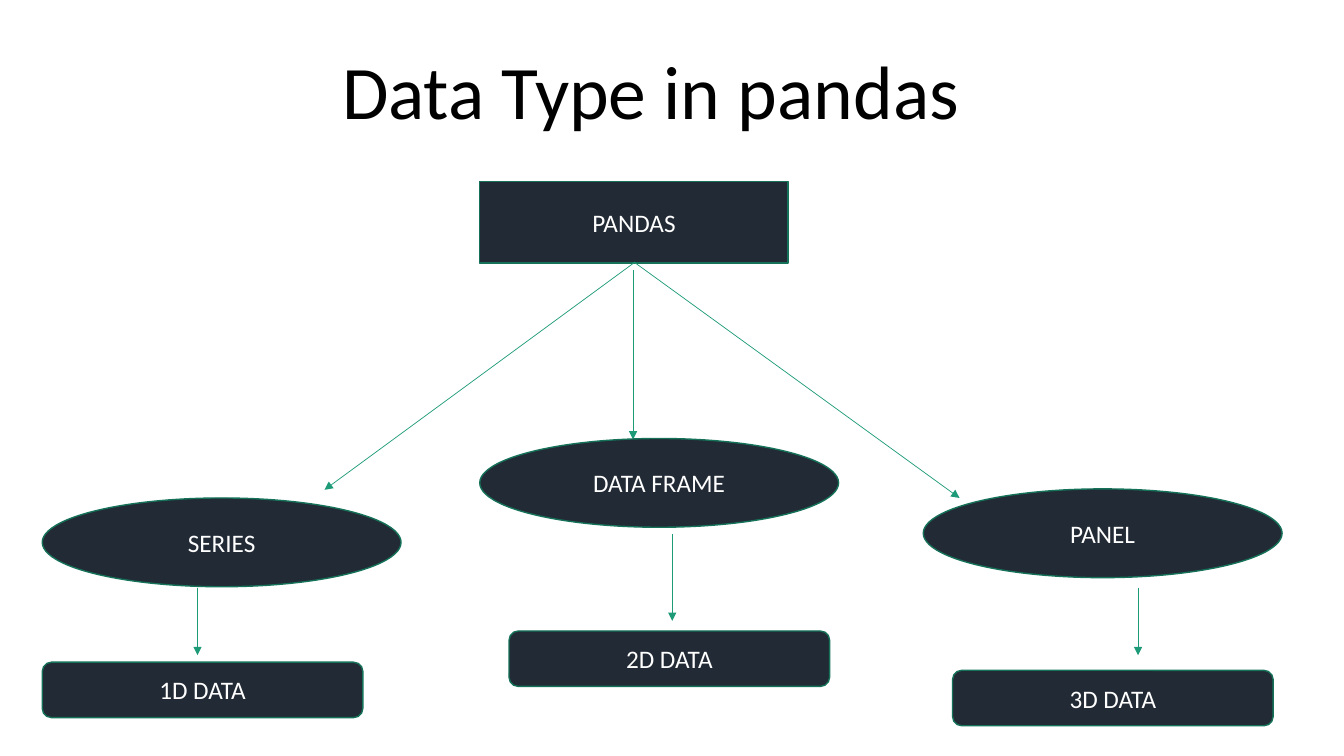
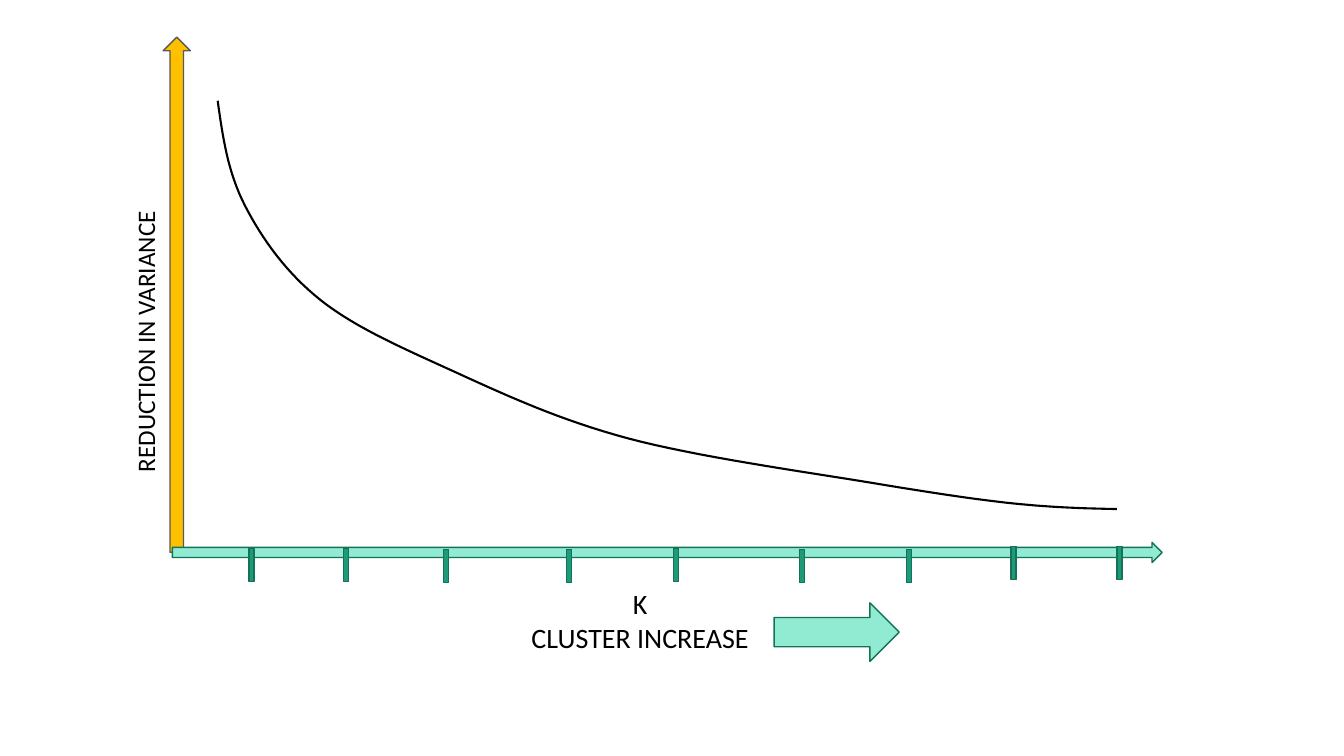
"""Build two slides: the pandas data types and the elbow curve."""
from dataclasses import dataclass

from lxml.etree import SubElement
from pptx import Presentation
from pptx.dml.color import RGBColor as Rgb
from pptx.enum.shapes import MSO_CONNECTOR as Link, MSO_SHAPE as Kind
from pptx.enum.text import MSO_ANCHOR as Anchor, MSO_AUTO_SIZE as Fit, PP_ALIGN as Align
from pptx.oxml.ns import qn
from pptx.util import Pt


@dataclass(frozen=True)
class Theme:
    """Colours, font and type sizes."""
    font: str = "Calibri"
    black: str = "000000"
    white: str = "FFFFFF"
    navy: str = "222A35"
    green: str = "1D9A78"
    edge: str = "157259"
    mint: str = "91EAD2"
    gold: str = "FFC000"
    gray: str = "595959"
    title: int = 54
    large: int = 20
    body: int = 18
    thin: float = 0.5
    line: float = 1
    curve: float = 1.5


T = Theme()
SIZE = (960, 540)

TITLE = ("Data Type in pandas", (234.7, 27.4, 460, 72.7))
ROOT = ("PANDAS", (342.7, 129.6, 220.3, 58.3))
RAYS = [
    (452.2, 193, 452.2, 313.9),
    (453.6, 187.2, 231.8, 349.9),
    (452.9, 187.2, 685.4, 355.7),
]
OVAL = (256.3, 63.4)
CARD = (229, 39.6)
TYPES = [
    dict(name="SERIES", at=(30.2, 355.7), drop=(141.1, 419.8, 468), data="1D DATA", end=(30.2, 473)),
    dict(name="DATA FRAME", at=(342.7, 313.2), drop=(480.2, 381.6, 443.5), data="2D DATA", end=(363.6, 450.7)),
    dict(name="PANEL", at=(659.5, 349.2), drop=(812.9, 419.8, 468), data="3D DATA", end=(680.4, 478.8)),
]

ARROWS = [
    (Kind.UP_ARROW, (116.6, 26.6, 19.4, 367.9), T.gold, T.gray),
    (Kind.RIGHT_ARROW, (123.1, 387.4, 707, 14.4), T.mint, T.edge),
    (Kind.RIGHT_ARROW, (553, 430.6, 89.3, 41.8), T.mint, T.edge),
]
TICK = (3.6, 23.8)
TICKS = [
    (177.8, 391.7), (245.5, 391.7), (316.8, 392.4),
    (404.6, 392.4), (481, 391.7), (571, 392.4),
    (647.3, 392.4), (722.2, 390.2), (797.8, 390.2),
]
LABELS = [
    ("REDUCTION IN VARIANCE", (2.2, 229.7, 203, 28.8), T.body, 270),
    ("K\nCLUSTER INCREASE", (371.5, 415.4, 171.4, 55.4), T.large, 0),
]
START = (155.5, 72)
BENDS = [
    ((159.1, 97.9), (162.7, 123.1), (175, 146.9)),
    ((187.2, 170.6), (204.5, 195.1), (229.7, 214.9)),
    ((254.9, 234.7), (290.2, 249.8), (326.5, 266.4)),
    ((362.9, 283), (400.3, 300.2), (448.9, 313.2)),
    ((497.5, 326.2), (574.6, 337), (620.3, 344.5)),
    ((666, 352.1), (694.1, 356.4), (723.6, 359.6)),
    ((753.1, 362.6), (775.4, 363.2), (797.8, 363.6)),
]
STEPS = 16


def write(frame, text, size, color):
    """Set centred text that neither wraps nor resizes."""
    frame.text = text
    frame.word_wrap = False
    frame.auto_size = Fit.NONE
    for para in frame.paragraphs:
        para.alignment = Align.CENTER
        for run in para.runs:
            run.font.name = T.font
            run.font.size = Pt(size)
            run.font.color.rgb = Rgb.from_string(color)


def stroke(line, color, width):
    """Set the colour and width of a line."""
    line.color.rgb = Rgb.from_string(color)
    line.width = Pt(width)


def block(slide, kind, area, fill, edge=T.edge, text=""):
    """Add a filled shape, with text if given."""
    shape = slide.shapes.add_shape(kind, *map(Pt, area))
    shape.shadow.inherit = False
    shape.fill.solid()
    shape.fill.fore_color.rgb = Rgb.from_string(fill)
    stroke(shape.line, edge, T.line)
    if text:
        write(shape.text_frame, text, T.body, T.white)


def arrow(slide, ends):
    """Add a thin line with an arrowhead at its end."""
    link = slide.shapes.add_connector(Link.STRAIGHT, *map(Pt, ends))
    stroke(link.line, T.green, T.thin)
    SubElement(link.line._get_or_add_ln(), qn("a:tailEnd"), type="triangle")
    SubElement(link._element.spPr, qn("a:effectLst"))


def bezier(pts, t):
    """Return the point at t on a cubic curve."""
    u = 1 - t
    parts = (u ** 3, 3 * u * u * t, 3 * u * t * t, t ** 3)
    return tuple(Pt(sum(k * p[axis] for k, p in zip(parts, pts))) for axis in (0, 1))


def curve(slide):
    """Draw the elbow curve as one open outline."""
    path, last = [], START
    for bend in BENDS:
        path += [bezier((last, *bend), i / STEPS) for i in range(1, STEPS + 1)]
        last = bend[-1]
    pen = slide.shapes.build_freeform(*map(Pt, START))
    pen.add_line_segments(path, close=False)
    shape = pen.convert_to_shape()
    shape.shadow.inherit = False
    shape.fill.background()
    stroke(shape.line, T.black, T.curve)


def tree(deck):
    """Build the slide with the tree of data types."""
    slide = deck.slides.add_slide(deck.slide_layouts[5])
    text, area = TITLE
    title = slide.shapes.title
    title.left, title.top, title.width, title.height = map(Pt, area)
    write(title.text_frame, text, T.title, T.black)
    title.text_frame.vertical_anchor = Anchor.TOP
    text, area = ROOT
    block(slide, Kind.RECTANGLE, area, T.navy, text=text)
    for ends in RAYS:
        arrow(slide, ends)
    for item in TYPES:
        x, top, low = item["drop"]
        block(slide, Kind.OVAL, item["at"] + OVAL, T.navy, text=item["name"])
        arrow(slide, (x, top, x, low))
        block(slide, Kind.ROUNDED_RECTANGLE, item["end"] + CARD, T.navy, text=item["data"])


def elbow(deck):
    """Build the slide with the elbow curve."""
    slide = deck.slides.add_slide(deck.slide_layouts[6])
    for kind, area, fill, edge in ARROWS:
        block(slide, kind, area, fill, edge)
    for spot in TICKS:
        block(slide, Kind.RECTANGLE, spot + TICK, T.green)
    for text, area, size, turn in LABELS:
        box = slide.shapes.add_textbox(*map(Pt, area))
        box.rotation = turn
        write(box.text_frame, text, size, T.black)
    curve(slide)


def main():
    """Build and save the deck."""
    deck = Presentation()
    deck.slide_width, deck.slide_height = map(Pt, SIZE)
    tree(deck)
    elbow(deck)
    deck.save("out.pptx")


if __name__ == "__main__":
    main()
